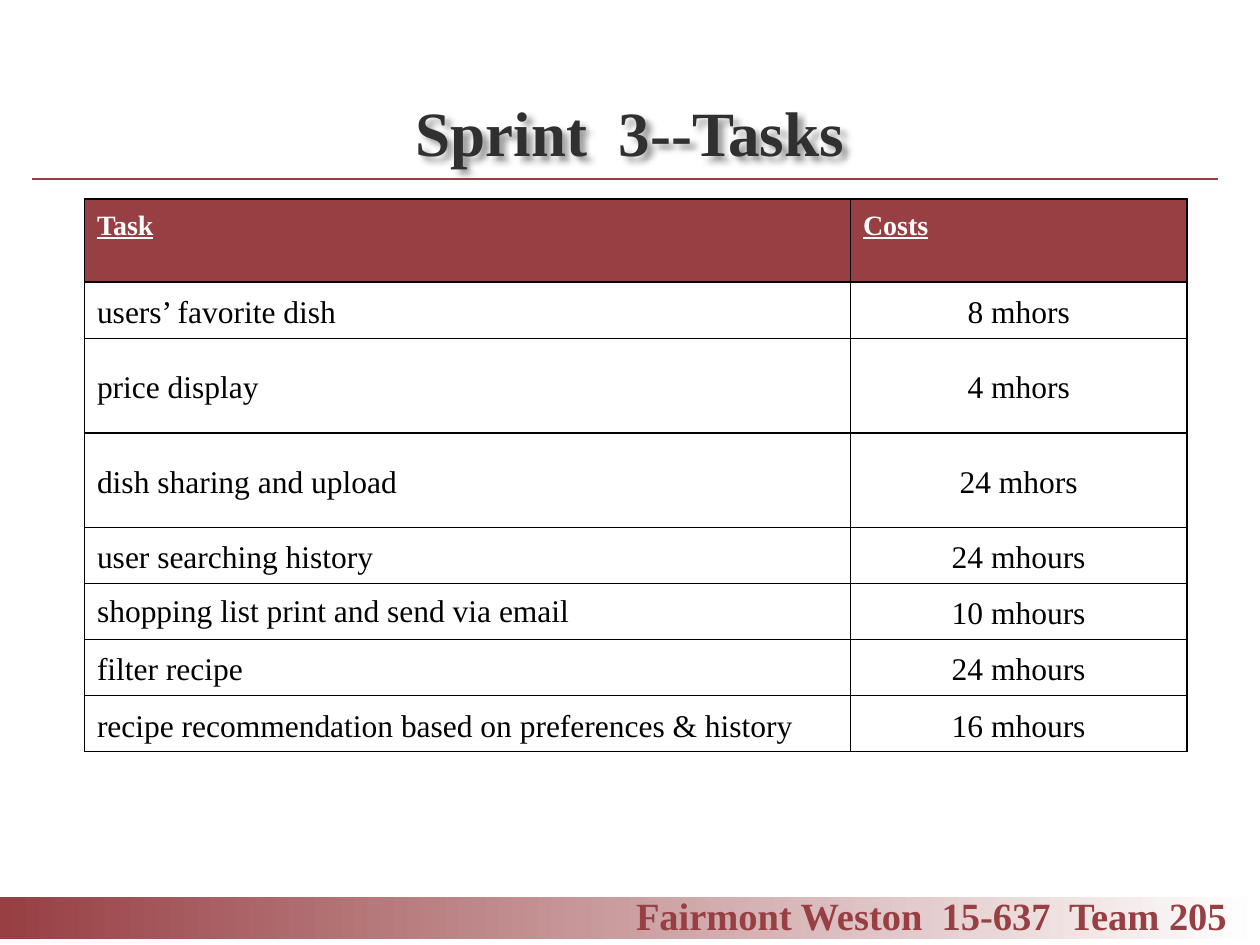
from lxml.etree import SubElement
from pptx import Presentation
from pptx.dml.color import RGBColor
from pptx.enum.shapes import MSO_CONNECTOR, MSO_SHAPE
from pptx.enum.text import MSO_ANCHOR, PP_ALIGN
from pptx.oxml.ns import qn
from pptx.util import Inches, Pt

# Content
TITLE = "Sprint  3--Tasks"
FOOTER = "Fairmont Weston  15-637  Team 205"
HEADER = ("Task", "Costs")
TASKS = [
    ("users’ favorite dish", "8 mhors"),
    ("price display", "4 mhors"),
    ("dish sharing and upload", "24 mhors"),
    ("user searching history", "24 mhours"),
    ("shopping list print and send via email", "10 mhours"),
    ("filter recipe", "24 mhours"),
    ("recipe recommendation based on preferences & history", "16 mhours"),
]
UNSPACED_CELL = (5, 0)

# Look and layout, in inches
COLORS = {"accent": "973F43", "title": "303030", "text": "000000", "paper": "FFFFFF"}
FONT = "Times New Roman"
WIDTH, HEIGHT = 10, 7.5
COLUMNS = (6.08, 2.67)
HEADER_ROW, SINGLE_ROW, TALL_ROW = 0.66, 0.43, 0.75
TALL_ROWS = (2, 3)


def color(name):
    return RGBColor.from_string(COLORS[name])


def format_text(paragraph, size, color_name, bold=False, underline=False):
    for run in paragraph.runs:
        font = run.font
        font.name, font.size, font.bold = FONT, Pt(size), bold
        font.underline = underline
        font.color.rgb = color(color_name)


def add_text(slide, box, text, size, color_name):
    shape = slide.shapes.add_textbox(*map(Inches, box))
    shape.text_frame.word_wrap = True
    shape.text_frame.text = text
    format_text(shape.text_frame.paragraphs[0], size, color_name, bold=True)
    return shape


def add_soft_shadow(shape):
    effects = SubElement(shape._element.spPr, qn("a:effectLst"))
    shadow = SubElement(effects, qn("a:outerShdw"), blurRad="50800", dist="38100",
                        dir="2700000", algn="tl", rotWithShape="0")
    tint = SubElement(shadow, qn("a:srgbClr"), val=COLORS["text"])
    SubElement(tint, qn("a:alpha"), val="40000")


def add_borders(cell):
    properties = cell._tc.get_or_add_tcPr()
    for index, side in enumerate(("lnL", "lnR", "lnT", "lnB")):
        line = properties.makeelement(qn(f"a:{side}"), {"w": str(Pt(1))})
        fill = SubElement(line, qn("a:solidFill"))
        SubElement(fill, qn("a:srgbClr"), val=COLORS["text"])
        properties.insert(index, line)  # borders come before the fill


def fill_cell(cell, row, column, text):
    is_header = row == 0
    cell.text = text
    paragraph = cell.text_frame.paragraphs[0]
    if (row, column) != UNSPACED_CELL:
        paragraph.line_spacing, paragraph.space_after = 1.15, Pt(10)
    if is_header:
        cell.fill.solid()
        cell.fill.fore_color.rgb = color("accent")
        format_text(paragraph, 16, "paper", bold=True, underline=True)
    else:
        cell.fill.background()
        cell.vertical_anchor = MSO_ANCHOR.MIDDLE
        paragraph.alignment = PP_ALIGN.CENTER if column else PP_ALIGN.LEFT
        format_text(paragraph, 18, "text")
    add_borders(cell)


def add_task_table(slide):
    rows = [HEADER, *TASKS]
    heights = [HEADER_ROW] + [TALL_ROW if row in TALL_ROWS else SINGLE_ROW
                              for row in range(1, len(rows))]
    frame = slide.shapes.add_table(len(rows), len(COLUMNS), Inches(0.67), Inches(1.58),
                                   Inches(sum(COLUMNS)), Inches(sum(heights)))
    table = frame.table
    table.horz_banding = False
    for column, width in zip(table.columns, COLUMNS):
        column.width = Inches(width)
    for row, (texts, height) in enumerate(zip(rows, heights)):
        table.rows[row].height = Inches(height)
        for column, text in enumerate(texts):
            fill_cell(table.cell(row, column), row, column, text)


def main():
    presentation = Presentation()
    presentation.slide_width, presentation.slide_height = Inches(WIDTH), Inches(HEIGHT)
    slide = presentation.slides.add_slide(presentation.slide_layouts[6])

    # Footer band and its text
    band = slide.shapes.add_shape(MSO_SHAPE.RECTANGLE, 0, Inches(7.12),
                                  Inches(WIDTH), Inches(0.33))
    band.shadow.inherit = False
    band.line.fill.background()
    band.fill.gradient()
    band.fill.gradient_angle = 0
    for stop, position, name in zip(band.fill.gradient_stops, (0, 1), ("accent", "paper")):
        stop.position = position
        stop.color.rgb = color(name)
    add_text(slide, (4.95, 7.03, 5.67, 0.47), FOOTER, 22, "accent")

    # Rule under the title
    rule = slide.shapes.add_connector(MSO_CONNECTOR.STRAIGHT, Inches(0.25), Inches(1.42),
                                      Inches(9.67), Inches(1.42))
    rule.line.color.rgb = color("accent")
    rule.line.width = Pt(1.5)
    SubElement(rule._element.spPr, qn("a:effectLst"))

    add_task_table(slide)

    # Title
    title = add_text(slide, (0.29, 0.42, 9.42, 1.25), TITLE, 36, "title")
    title.text_frame.vertical_anchor = MSO_ANCHOR.MIDDLE
    title.text_frame.paragraphs[0].alignment = PP_ALIGN.CENTER
    add_soft_shadow(title)

    presentation.save("out.pptx")


if __name__ == "__main__":
    main()
